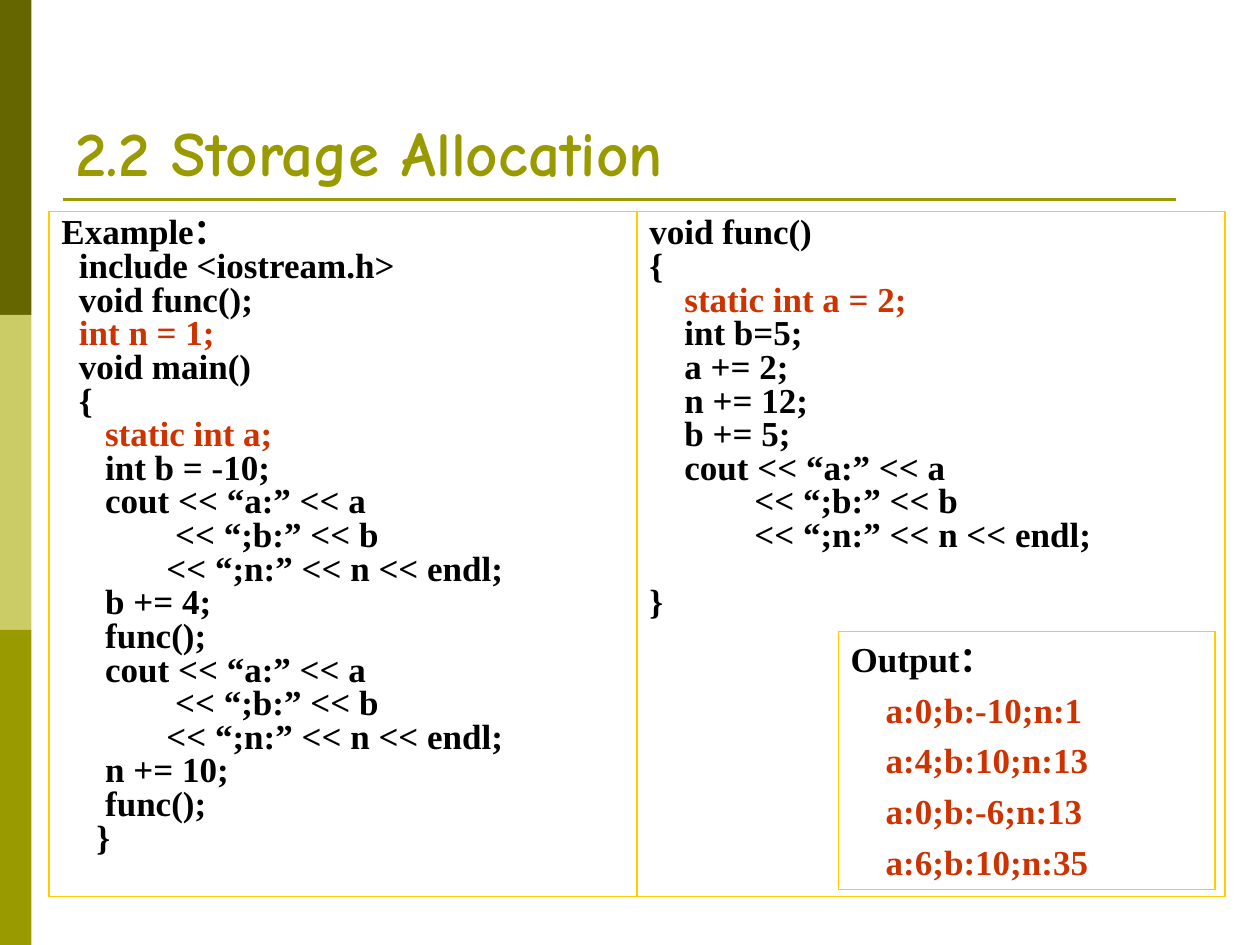
"""Build the storage allocation slide with two code panels and the program output."""
import dataclasses

import lxml.etree
import pptx
import pptx.dml.color
import pptx.enum.shapes
import pptx.enum.text
import pptx.oxml.ns
import pptx.util

Pt = pptx.util.Pt
Color = pptx.dml.color.RGBColor.from_string


@dataclasses.dataclass(frozen=True)
class Theme:
    """Colours, fonts and type sizes."""
    olive: str = "999900"
    dark_olive: str = "666600"
    light_olive: str = "CCCC66"
    border: str = "FFCC00"
    background: str = "FFFFFF"
    text: str = "000000"
    accent: str = "CC3300"
    title_font: str = "Comic Neue"
    body_font: str = "Times New Roman"
    title_size: int = 36
    body_size: int = 20


theme = Theme()


def add_rectangle(left, top, width, height, fill):
    """Add a plain filled rectangle."""
    shape = slide.shapes.add_shape(
        pptx.enum.shapes.MSO_SHAPE.RECTANGLE, Pt(left), Pt(top), Pt(width), Pt(height))
    shape.shadow.inherit = False
    shape.fill.solid()
    shape.fill.fore_color.rgb = Color(fill)
    shape.line.fill.background()
    return shape


def style_paragraph(paragraph, text, font, size, color):
    """Write left-aligned bold text in one font."""
    paragraph.text = text
    paragraph.alignment = pptx.enum.text.PP_ALIGN.LEFT
    paragraph.font.name = font
    paragraph.font.size = Pt(size)
    paragraph.font.bold = True
    paragraph.font.color.rgb = Color(color)


main_code = """Example：
  include <iostream.h>
  void func();
  int n = 1;
  void main()
  {
     static int a;
     int b = -10;
     cout << “a:” << a
             << “;b:” << b
            << “;n:” << n << endl;
     b += 4;
     func();
     cout << “a:” << a
             << “;b:” << b
            << “;n:” << n << endl;
     n += 10;
     func();
    }""".split("\n")

function_code = """void func()
{
    static int a = 2;
    int b=5;
    a += 2;
    n += 12;
    b += 5;
    cout << “a:” << a
            << “;b:” << b
            << “;n:” << n << endl;
}""".split("\n")

output_lines = ["Output：", "a:0;b:-10;n:1", "a:4;b:10;n:13", "a:0;b:-6;n:13", "a:6;b:10;n:35"]

presentation = pptx.Presentation()
presentation.slide_width = Pt(720)
presentation.slide_height = Pt(540)
slide = presentation.slides.add_slide(presentation.slide_layouts[6])

for index, color in enumerate([theme.dark_olive, theme.light_olive, theme.olive]):
    add_rectangle(0, index * 180, 18, 180, color)

title_rule = slide.shapes.add_connector(
    pptx.enum.shapes.MSO_CONNECTOR.STRAIGHT, Pt(36), Pt(114), Pt(672), Pt(114))
title_rule.line.color.rgb = Color(theme.olive)
title_rule.line.width = Pt(1.5)
lxml.etree.SubElement(title_rule._element.spPr, pptx.oxml.ns.qn("a:effectLst"))

title = slide.shapes.add_textbox(Pt(36), Pt(21.6), Pt(648), Pt(90))
title.text_frame.word_wrap = True
title.text_frame.vertical_anchor = pptx.enum.text.MSO_ANCHOR.BOTTOM
style_paragraph(title.text_frame.paragraphs[0], "2.2 Storage Allocation",
                theme.title_font, theme.title_size, theme.olive)

panels = [
    (28, 121, 336, 391.5, main_code, {3, 6}, 0.8, 0),
    (364, 121, 336, 391.5, function_code, {2}, 0.8, 0),
    (479, 360.7, 215.3, 147.6, output_lines, {1, 2, 3, 4}, 1.0, 5),
]
for left, top, width, height, lines, accented, line_spacing, space_before in panels:
    panel = add_rectangle(left, top, width, height, theme.background)
    panel.line.color.rgb = Color(theme.border)
    panel.line.width = Pt(0.75)
    frame = panel.text_frame
    frame.word_wrap = True
    frame.vertical_anchor = pptx.enum.text.MSO_ANCHOR.TOP
    for index, line in enumerate(lines):
        paragraph = frame.add_paragraph() if index else frame.paragraphs[0]
        paragraph.line_spacing = line_spacing
        if index:
            paragraph.space_before = Pt(space_before)
        if lines is output_lines and index:
            paragraph._p.get_or_add_pPr().set("marL", str(Pt(20)))
        if lines is function_code and line == "}":
            paragraph.space_before = Pt(19)
        style_paragraph(paragraph, line, theme.body_font, theme.body_size,
                        theme.accent if index in accented else theme.text)

presentation.save("out.pptx")
